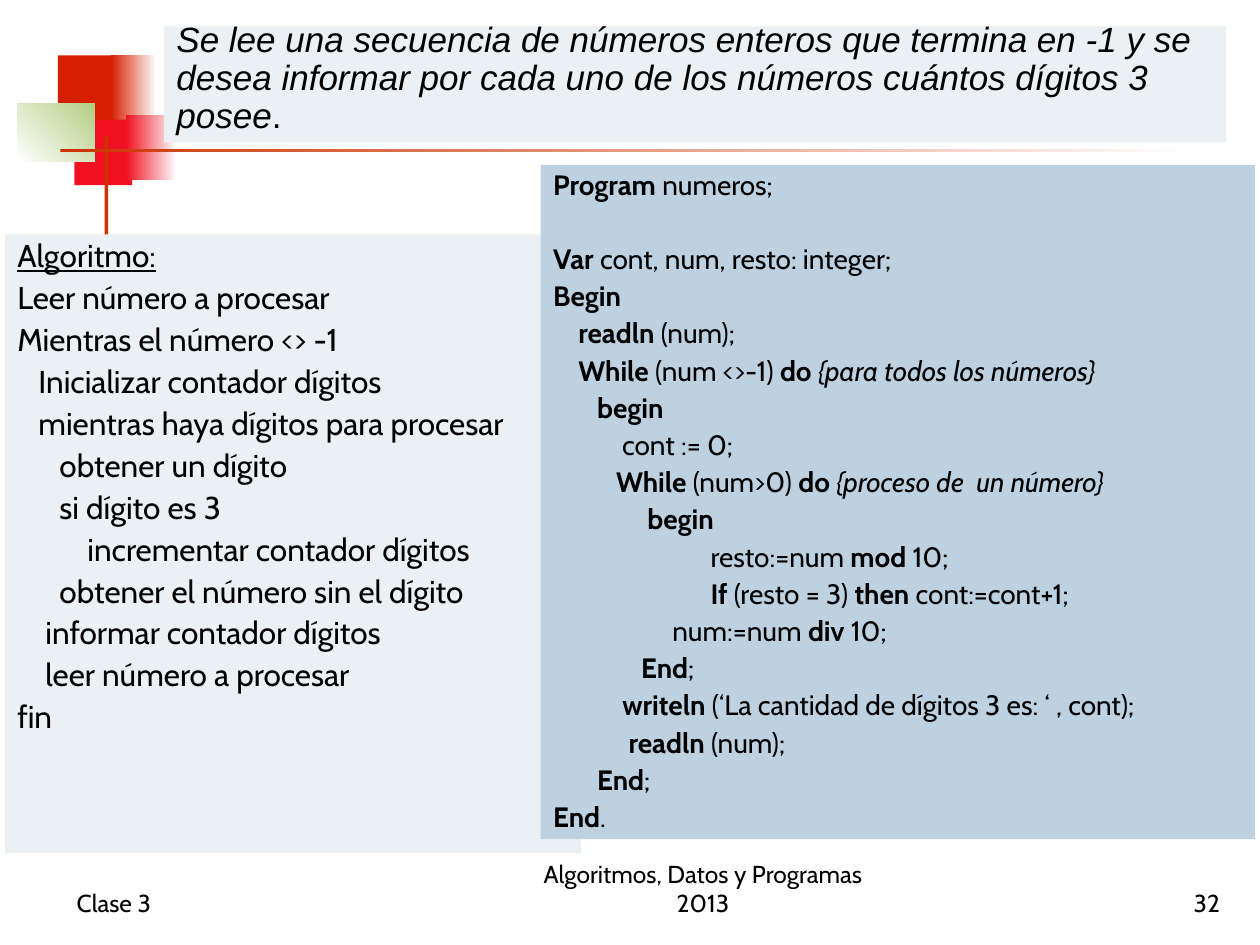
from pptx import Presentation
from pptx.dml.color import RGBColor as RGB
from pptx.enum.shapes import MSO_SHAPE as SHAPE
from pptx.enum.text import MSO_ANCHOR as ANCHOR, MSO_AUTO_SIZE as FIT, PP_ALIGN as ALIGN
from pptx.util import Inches, Pt

W, H = Inches(10), Inches(7.5)
COLORS = {
    "text": "000000", "white": "FFFFFF", "pale": "EBF0F5", "code": "BED1E0",
    "orange": "D61F00", "red": "EF1121", "green": "B3CE82", "rule": "CC3300",
}
SPACE = 0.0556

DECOR = [
    ((4.6, 5.87, 4.8, 6.93), ["orange"], 0),
    ((8.8, 5.87, 3.6, 6.93), ["orange", "white"], 0),
    ((5.9, 12.67, 4.6, 6.93), ["red"], 0),
    ((10, 12.13, 4, 6.93), ["red", "white"], 0),
    ((1.4, 10.93, 6.1, 6.13), ["white", "green"], 45),
    ((8.3, 14.4, 0.3, 15.33), ["rule"], 0),
    ((4.8, 15.73, 90, 0.4), ["rule", "white"], 0),
]
FOOTERS = [
    (5.1, 20.8, "Clase 3", ALIGN.LEFT),
    (40.3, 31, "Algoritmos, Datos y Programas 2013", ALIGN.CENTER),
    (77, 20.8, "32", ALIGN.RIGHT),
]
TITLE = ("Se lee una secuencia de números enteros que termina en -1 y se desea "
         "informar por cada uno de los números cuántos dígitos 3 posee")
ALGORITHM = [
    (0, "Algoritmo:"),
    (0, "Leer número a procesar"),
    (0, "Mientras el número <> -1"),
    (3, "Inicializar contador dígitos"),
    (3, "mientras haya dígitos para procesar"),
    (6, "obtener un dígito"),
    (6, "si dígito es 3"),
    (10, "incrementar contador dígitos"),
    (6, "obtener el número sin el dígito"),
    (4, "informar contador dígitos"),
    (4, "leer número a procesar"),
    (0, "fin"),
]
CODE = [
    "*Program* numeros;",
    "*Var* cont, num, resto: integer;",
    "*Begin*",
    "    *readln* (num);",
    "    *While* (num <>-1) *do *{para todos los números}",
    "       *begin*",
    "           cont := 0;",
    "          *While* (num>0) *do *{proceso de  un número}",
    "               *begin*",
    "     \t     resto:=num *mod* 10;",
    "\t     *If* (resto = 3) *then* cont:=cont+1;",
    "                   num:=num *div* 10;",
    "              *End*;",
    "           *writeln* (‘La cantidad de dígitos 3 es: ‘ , cont);",
    "            *readln* (num);",
    "       *End*;",
    "*End*.",
]


def share(x, y, w, h):
    return [int(v * full / 100) for v, full in ((x, W), (y, H), (w, W), (h, H))]


def color(name):
    return RGB.from_string(COLORS[name])


def place(sp, area, fill):
    sp.left, sp.top, sp.width, sp.height = share(*area)
    sp.fill.solid()
    sp.fill.fore_color.rgb = color(fill)
    sp.text_frame.word_wrap = True
    sp.text_frame.auto_size = FIT.NONE
    return sp.text_frame


def style(r, size, font="Cabin", bold=False, italic=False):
    r.font.size, r.font.name = Pt(size), font
    r.font.bold, r.font.italic = bold, italic
    r.font.color.rgb = color("text")


def add_block(slide, area, colors, angle=0):
    sp = slide.shapes.add_shape(SHAPE.RECTANGLE, *share(*area))
    sp.shadow.inherit = False
    sp.line.fill.background()
    if len(colors) == 1:
        sp.fill.solid()
        sp.fill.fore_color.rgb = color(colors[0])
    else:
        sp.fill.gradient()
        sp.fill.gradient_angle = angle
        for stop, name in zip(sp.fill.gradient_stops, colors):
            stop.color.rgb = color(name)
    return sp


def add_footer(slide, x, w, text, align):
    tf = slide.shapes.add_textbox(*share(x, 91.07, w, 6.67)).text_frame
    tf.word_wrap, tf.vertical_anchor = True, ANCHOR.BOTTOM
    p = tf.paragraphs[0]
    p.text, p.alignment = text, align
    style(p.runs[0], 14)


def add_lines(tf, count, before):
    for i in range(count):
        p = tf.add_paragraph() if i else tf.paragraphs[0]
        p.alignment, p.line_spacing = ALIGN.JUSTIFY, 0.9
        p.space_before = Pt(before if i else 0)
    return tf.paragraphs


def fill_title(sp):
    tf = place(sp, (13, 2.8, 84.3, 12.27), "pale")
    tf.vertical_anchor = ANCHOR.BOTTOM
    p = tf.paragraphs[0]
    p.alignment, p.line_spacing = ALIGN.LEFT, 0.9
    for text, italic in ((TITLE, True), (".", False)):
        r = p.add_run()
        r.text = text
        style(r, 20, "Arial", italic=italic)


def add_algorithm(slide):
    area = (0.4, 24.8, 45.7, 65.47)
    tf = place(add_block(slide, area, ["pale"]), area, "pale")
    tf.vertical_anchor = ANCHOR.TOP
    for p, (spaces, text) in zip(add_lines(tf, len(ALGORITHM), 4.5), ALGORITHM):
        p.text = text
        p._p.get_or_add_pPr().set("marL", str(Inches(spaces * SPACE)))
        style(p.runs[0], 18)
    tf.paragraphs[0].runs[0].font.underline = True


def fill_code(sp):
    tf = place(sp, (42.9, 17.47, 56.7, 71.33), "code")
    tf.vertical_anchor = ANCHOR.TOP
    for p, line in zip(add_lines(tf, len(CODE), 4), CODE):
        p._p.get_or_add_pPr().set("defTabSz", str(Inches(1)))
        for i, part in enumerate(line.split("*")):
            if part:
                r = p.add_run()
                r.text = part
                style(r, 16, bold=i % 2 == 1, italic=part.startswith("{"))
    tf.paragraphs[1].space_before = Pt(25)


def main():
    prs = Presentation()
    prs.slide_width, prs.slide_height = W, H
    slide = prs.slides.add_slide(prs.slide_layouts[0])
    title, code = slide.placeholders
    for area, colors, angle in DECOR:
        add_block(slide, area, colors, angle)
    for footer in FOOTERS:
        add_footer(slide, *footer)
    fill_title(title)
    add_algorithm(slide)
    fill_code(code)
    for sp in (title, code):
        slide.shapes._spTree.append(sp._element)
    prs.save("out.pptx")


if __name__ == "__main__":
    main()
